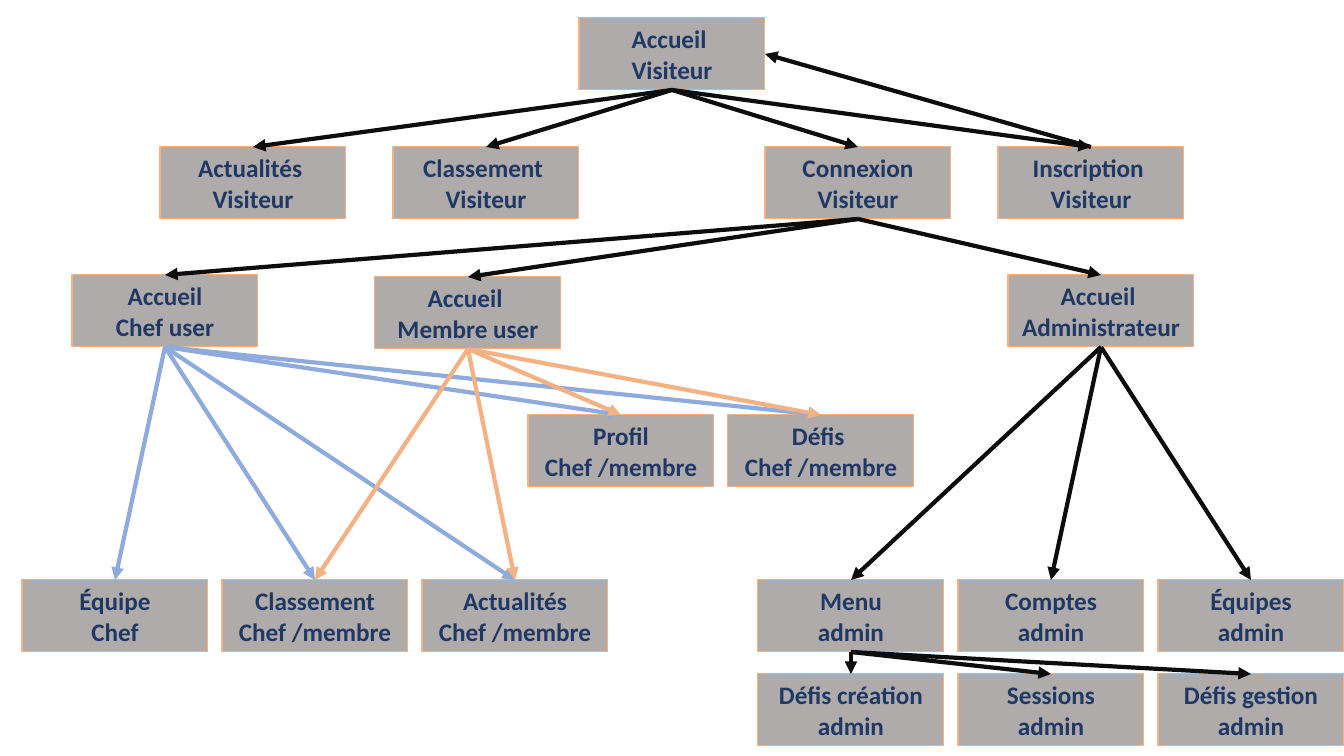
from dataclasses import dataclass

from lxml import etree
from pptx import Presentation, util as u
from pptx.dml.color import RGBColor
from pptx.enum import shapes, text
from pptx.oxml import ns

EMU_PER_PIXEL = 914400 / 100.8
SLIDE_SIZE = (1344, 756)
BOX_SIZE = (186, 72)
TOP, BOTTOM, RIGHT = 0, 2, 3


@dataclass(frozen=True)
class Theme:
    font: str = "Calibri"
    text_size: float = 18
    text_color: str = "203864"
    box_fill: str = "AFABAB"
    box_border: str = "F4B183"
    border_width: float = 0.75
    arrow_width: float = 3
    navigation: str = "0D0D0D"
    chief: str = "8FAADC"
    member: str = "F4B183"


THEME = Theme()

# left, top, horizontal pitch, pages as (key, name, audience)
ROWS = [
    (579, 18, 0, [("home", "Accueil ", "Visiteur")]),
    (160, 147, 233, [("news", "Actualités ", "Visiteur"),
                     ("ranking", "Classement ", "Visiteur")]),
    (765, 147, 233, [("login", "Connexion", "Visiteur"),
                     ("signup", "Inscription ", "Visiteur")]),
    (72, 275, 0, [("chief", "Accueil", "Chef user")]),
    (375, 277, 0, [("member", "Accueil ", "Membre user")]),
    (1008, 275, 0, [("admin", "Accueil ", "Administrateur")]),
    (528, 415, 200, [("profile", "Profil", "Chef /membre"),
                     ("challenges", "Défis ", "Chef /membre")]),
    (22, 580, 200, [("team", "Équipe", "Chef"),
                    ("team_ranking", "Classement", "Chef /membre"),
                    ("team_news", "Actualités", "Chef /membre")]),
    (758, 580, 200, [("menu", "Menu", "admin"),
                     ("accounts", "Comptes", "admin"),
                     ("teams", "Équipes", "admin")]),
    (758, 674, 200, [("creation", "Défis création", "admin"),
                     ("sessions", "Sessions", "admin"),
                     ("management", "Défis gestion", "admin")]),
]

BRANCHES = [
    ("home", THEME.navigation, ["ranking", "news", "signup", "login"]),
    ("login", THEME.navigation, ["chief", "admin", "member"]),
    ("chief", THEME.chief,
     ["team_news", "team_ranking", "team", "challenges", "profile"]),
    ("admin", THEME.navigation, ["teams", "accounts", "menu"]),
    ("menu", THEME.navigation, ["management", "sessions", "creation"]),
    ("member", THEME.member,
     ["team_ranking", "team_news", "challenges", "profile"]),
]


def px(pixels):
    return u.Emu(round(pixels * EMU_PER_PIXEL))


def color(value):
    return RGBColor.from_string(value)


def add_page_box(slide, left, top, name, audience):
    box = slide.shapes.add_shape(
        shapes.MSO_SHAPE.RECTANGLE, px(left), px(top), *map(px, BOX_SIZE))
    box.shadow.inherit = False
    box.fill.solid()
    box.fill.fore_color.rgb = color(THEME.box_fill)
    box.line.color.rgb = color(THEME.box_border)
    box.line.width = u.Pt(THEME.border_width)
    frame = box.text_frame
    frame.text = f"{name}\n{audience}"
    frame.word_wrap = True
    frame.auto_size = text.MSO_AUTO_SIZE.SHAPE_TO_FIT_TEXT
    frame.vertical_anchor = text.MSO_ANCHOR.MIDDLE
    for paragraph in frame.paragraphs:
        paragraph.alignment = text.PP_ALIGN.CENTER
        for run in paragraph.runs:
            run.font.name = THEME.font
            run.font.size = u.Pt(THEME.text_size)
            run.font.bold = True
            run.font.color.rgb = color(THEME.text_color)
    return box


def add_arrow(slide, source, target, line_color, start=BOTTOM, end=TOP):
    arrow = slide.shapes.add_connector(shapes.MSO_CONNECTOR.STRAIGHT, 0, 0, 0, 0)
    arrow.begin_connect(source, start)
    arrow.end_connect(target, end)
    arrow.line.color.rgb = color(line_color)
    arrow.line.width = u.Pt(THEME.arrow_width)
    etree.SubElement(arrow.line._get_or_add_ln(), ns.qn("a:tailEnd"), type="triangle")
    etree.SubElement(arrow._element.spPr, ns.qn("a:effectLst"))


def main():
    presentation = Presentation()
    presentation.slide_width, presentation.slide_height = map(px, SLIDE_SIZE)
    slide = presentation.slides.add_slide(presentation.slide_layouts[6])
    pages = {}
    for left, top, pitch, entries in ROWS:
        for column, (key, name, audience) in enumerate(entries):
            pages[key] = add_page_box(
                slide, left + column * pitch, top, name, audience)
    for source, line_color, targets in BRANCHES:
        for target in targets:
            add_arrow(slide, pages[source], pages[target], line_color)
    add_arrow(slide, pages["signup"], pages["home"], THEME.navigation, TOP, RIGHT)
    presentation.save("out.pptx")


main()
